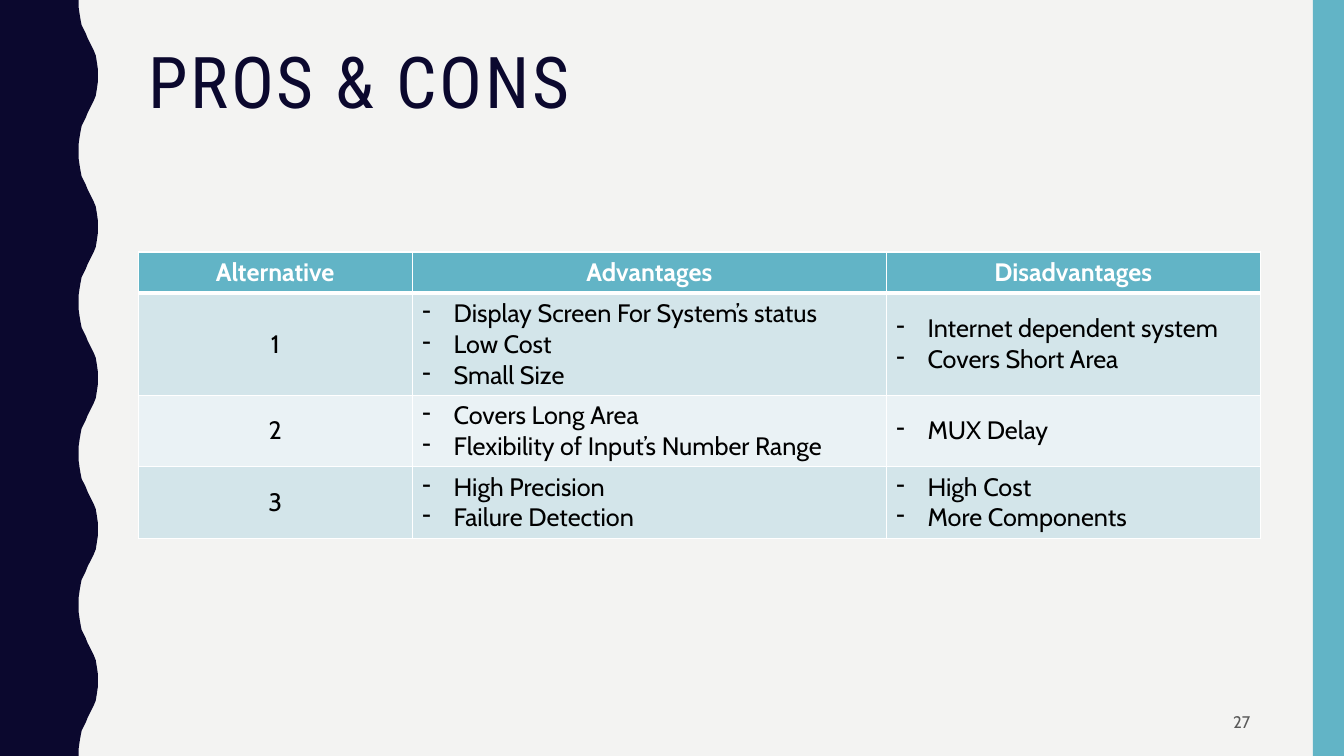
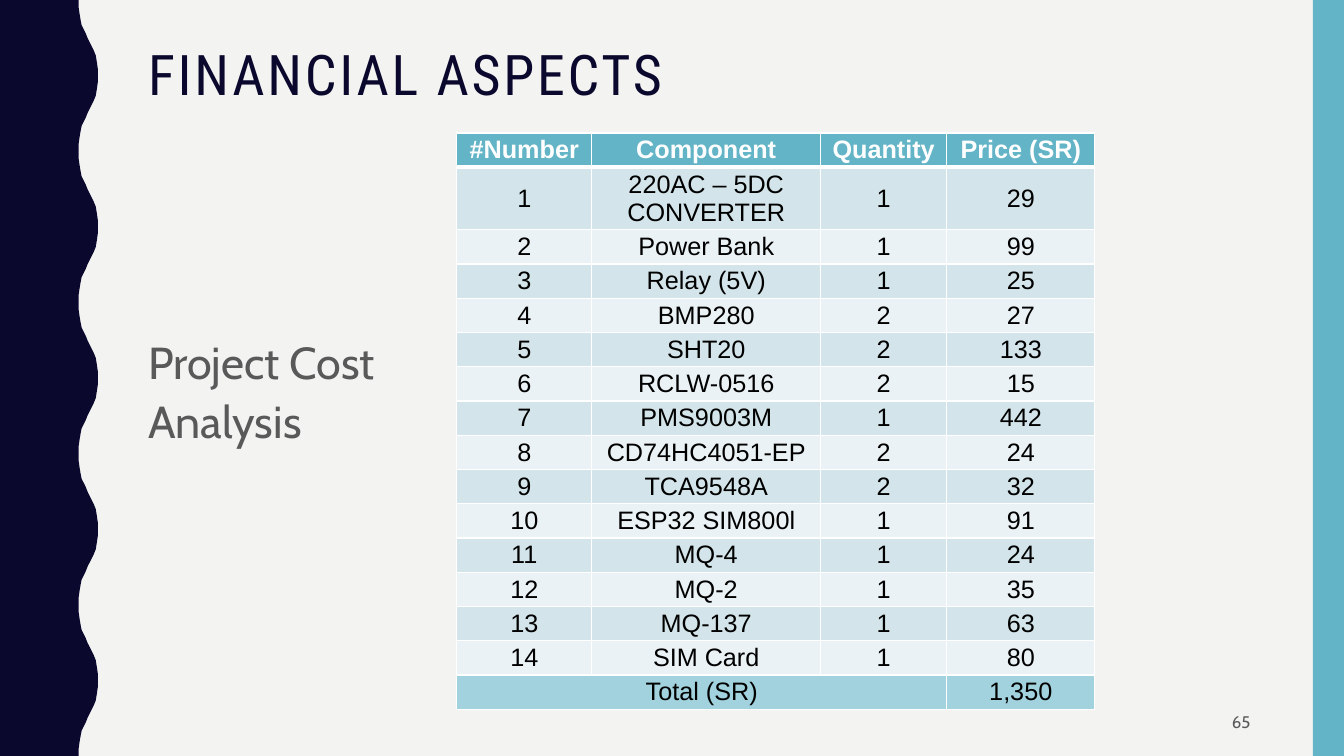
from lxml.etree import SubElement
from pptx import Presentation
from pptx.dml.color import RGBColor
from pptx.enum.shapes import MSO_SHAPE
from pptx.enum.text import MSO_ANCHOR, PP_ALIGN
from pptx.oxml.ns import qn
from pptx.util import Pt

PX = 9144  # EMU in one px, 100 px to the inch
WIDE, HIGH = 1333, 750
LEFT = 137

NAVY, TEAL, AQUA = "0B082E", "62B4C6", "A1D2DD"
PALE, LIGHT = "D3E5EA", "EAF2F5"
PAPER, GREY, WHITE, BLACK = "F3F3F2", "595959", "FFFFFF", "000000"
HEAD, BODY, PLAIN = "Roboto Condensed", "Cabin", "Arial"

# Half of one wave, from trough to crest
RISE = [(78, 0), (78, 7), (79, 14), (80, 20), (81, 25), (83, 29), (85, 33), (87, 38),
        (89, 42), (91, 46), (93, 50), (95, 55), (96, 61), (97, 68), (97, 75)]
WAVE = 150

CHOICES = [
    ("Alternative", "Advantages", "Disadvantages"),
    ("1", ["Display Screen For System’s status", "Low Cost", "Small Size"],
     ["Internet dependent system", "Covers Short Area"]),
    ("2", ["Covers Long Area", "Flexibility of Input’s Number Range"], ["MUX Delay"]),
    ("3", ["High Precision", "Failure Detection"], ["High Cost", "More Components"]),
]

PARTS = [
    ("220AC – 5DC CONVERTER", 1, 29),
    ("Power Bank", 1, 99),
    ("Relay (5V)", 1, 25),
    ("BMP280", 2, 27),
    ("SHT20", 2, 133),
    ("RCLW-0516", 2, 15),
    ("PMS9003M", 1, 442),
    ("CD74HC4051-EP", 2, 24),
    ("TCA9548A", 2, 32),
    ("ESP32 SIM800l", 1, 91),
    ("MQ-4", 1, 24),
    ("MQ-2", 1, 35),
    ("MQ-137", 1, 63),
    ("SIM Card", 1, 80),
]


def px(*nums):
    return [num * PX for num in nums]


def paint(fill, color):
    fill.solid()
    fill.fore_color.rgb = RGBColor.from_string(color)


def dash(para):
    """Give the paragraph a hanging dash bullet."""
    props = para._p.get_or_add_pPr()
    props.set("marL", str(31 * PX))
    props.set("indent", str(-31 * PX))
    SubElement(props, qn("a:buChar")).set("char", "-")


def write(frame, lines, size=18, color=BLACK, font=BODY, bold=False,
          align=PP_ALIGN.LEFT, lead=None, track=0, bullet=False):
    """Fill a text frame with one paragraph for each line."""
    frame.word_wrap = True
    for i, line in enumerate(lines):
        para = frame.add_paragraph() if i else frame.paragraphs[0]
        if bullet:
            dash(para)
        para.alignment = align
        if lead:
            para.line_spacing = lead
        run = para.add_run()
        run.text = line
        run.font.size = Pt(size)
        run.font.name = font
        run.font.bold = bold
        paint(run.font.fill, color)
        if track:
            run._r.get_or_add_rPr().set("spc", str(track * 100))


def label(slide, line, box, anchor=MSO_ANCHOR.MIDDLE, **style):
    frame = slide.shapes.add_textbox(*px(*box)).text_frame
    frame.vertical_anchor = anchor
    write(frame, [line], **style)


def finish(shape, color):
    shape.shadow.inherit = False
    shape.line.fill.background()
    paint(shape.fill, color)


def wave(slide):
    fall = [(x, WAVE - y) for x, y in reversed(RISE)]
    edge = [(x, y + top) for top in range(0, HIGH, WAVE) for x, y in RISE + fall[1:]]
    pen = slide.shapes.build_freeform(0, 0, scale=PX)
    pen.add_line_segments(edge + [(0, HIGH)])
    finish(pen.convert_to_shape(), NAVY)


def page(deck, title, number, box, size):
    """Add a slide with the side bands, title and page number."""
    slide = deck.slides.add_slide(deck.slide_layouts[6])
    wave(slide)
    band = slide.shapes.add_shape(MSO_SHAPE.RECTANGLE, *px(1302, 0, 31, HIGH))
    finish(band, TEAL)
    label(slide, title, box, anchor=MSO_ANCHOR.TOP, size=size, color=NAVY,
          font=HEAD, lead=0.9, track=2)
    label(slide, number, (942, 697, 308, 38), size=12, color=GREY, align=PP_ALIGN.RIGHT)
    return slide


def border(cell, row):
    """Rule the cell in white, with a thick rule under the header row."""
    props = cell._tc.get_or_add_tcPr()
    thick = {"T": row == 1, "B": row == 0}
    for side in "LRTB":
        line = SubElement(props, qn(f"a:ln{side}"), w=str(Pt(3 if thick.get(side) else 1)))
        fill = SubElement(line, qn("a:solidFill"))
        SubElement(fill, qn("a:srgbClr"), val=WHITE)


def grid(slide, rows, left, top, cols, highs, font, inset, total=False):
    """Draw a banded table; a list in a cell becomes dashed lines."""
    box = px(left, top, sum(cols), sum(highs))
    table = slide.shapes.add_table(len(rows), len(cols), *box).table
    table.first_row = table.horz_banding = False
    for col, wide in zip(table.columns, cols):
        col.width = wide * PX
    for row, high in zip(table.rows, highs):
        row.height = high * PX
    last = len(rows) - 1
    if total:
        table.cell(last, 0).merge(table.cell(last, len(cols) - 2))
    for r, row in enumerate(rows):
        shade = TEAL if r == 0 else AQUA if total and r == last else PALE if r % 2 else LIGHT
        for c, item in enumerate(row):
            cell = table.cell(r, c)
            border(cell, r)
            paint(cell.fill, shade)
            cell.vertical_anchor = MSO_ANCHOR.MIDDLE
            cell.margin_left = cell.margin_right = inset[0] * PX
            cell.margin_top = cell.margin_bottom = inset[1] * PX
            if cell.is_spanned:
                continue
            many = isinstance(item, list)
            write(cell.text_frame, item if many else [str(item)], font=font,
                  color=BLACK if r else WHITE, bold=r == 0, bullet=many,
                  align=PP_ALIGN.LEFT if many else PP_ALIGN.CENTER)


def choices(deck):
    slide = page(deck, "PROS & CONS", "27", (LEFT, 42, 1113, 163), 51)
    grid(slide, CHOICES, LEFT, 250, (272, 470, 371), (41, 101, 71, 71), BODY, (10, 5))


def costs(deck):
    slide = page(deck, "FINANCIAL ASPECTS", "65", (LEFT, 42, 618, 90), 40)
    label(slide, "Project Cost Analysis", (LEFT, 267, 255, 237), size=32, color=GREY, lead=1.1)
    rows = [("#Number", "Component", "Quantity", "Price (SR)")]
    rows += [(i, *part) for i, part in enumerate(PARTS, 1)]
    rows.append(("Total (SR)", "", "", "1,350"))
    highs = [34, 62] + [34] * (len(rows) - 2)
    grid(slide, rows, 453, 132, (134, 227, 125, 147), highs, PLAIN, (8, 0), total=True)


def main():
    deck = Presentation()
    deck.slide_width, deck.slide_height = px(WIDE, HIGH)
    paint(deck.slide_master.background.fill, PAPER)
    choices(deck)
    costs(deck)
    deck.save("out.pptx")


if __name__ == "__main__":
    main()
